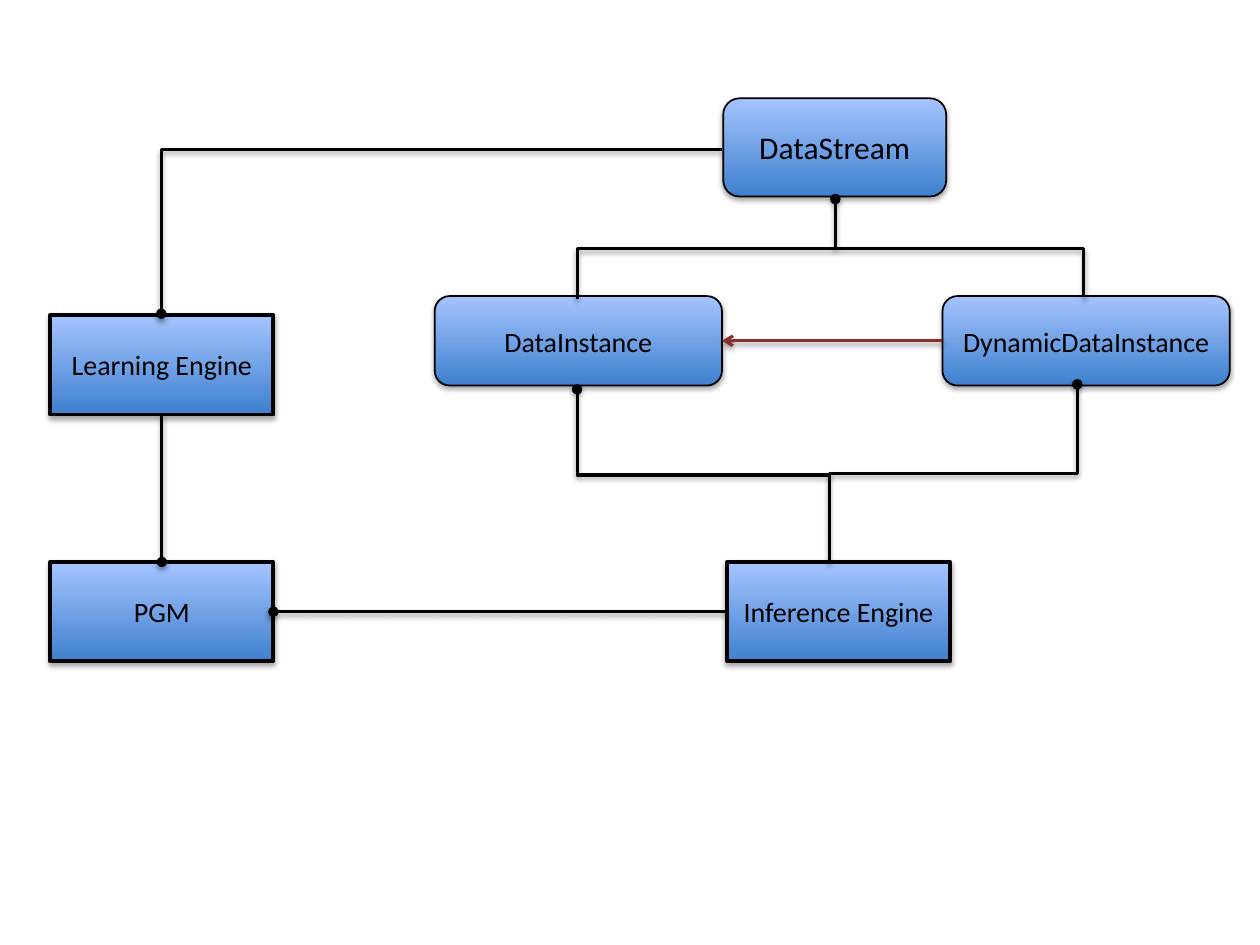
import pptx
import pptx.util
import pptx.dml.color
import pptx.enum.shapes
import pptx.enum.text
import pptx.oxml
import pptx.oxml.ns

SHAPE = pptx.enum.shapes.MSO_SHAPE
CONNECTOR = pptx.enum.shapes.MSO_CONNECTOR
Inches, Pt = pptx.util.Inches, pptx.util.Pt

COLORS = {"black": "000000", "deep": "3F80CE", "light": "A4C4FF", "red": "882E2E"}

# Grid: left edges of columns and top edges of rows, in inches
COLUMNS = {"engine": 0.4, "instance": 3.45, "stream": 5.74, "inference": 5.77, "dynamic": 7.48}
ROWS = {"stream": 0.78, "data": 2.35, "learning": 2.5, "model": 4.46}

# Kinds of box: shape, width, height, outline
KINDS = {
    "stream": (SHAPE.ROUNDED_RECTANGLE, 1.77, 0.78, 1),
    "instance": (SHAPE.ROUNDED_RECTANGLE, 2.28, 0.71, 1),
    "engine": (SHAPE.RECTANGLE, 1.77, 0.79, 2.25),
}

# Text, kind, column, row, text size
BOXES = [
    ("DataStream", "stream", "stream", "stream", 18),
    ("DataInstance", "instance", "instance", "data", 16),
    ("PGM", "engine", "engine", "model", 16),
    ("Inference Engine", "engine", "inference", "model", 16),
    ("Learning Engine", "engine", "engine", "learning", 16),
    ("DynamicDataInstance", "instance", "dynamic", "data", 16),
]

# Begin box and side, end box and side, color, head, tail
TOP, LEFT, BOTTOM, RIGHT = range(4)
STRAIGHT_LINES = [
    ("PGM", RIGHT, "Inference Engine", LEFT, "black", "oval", "none"),
    ("PGM", TOP, "Learning Engine", BOTTOM, "black", "oval", "none"),
    ("DynamicDataInstance", LEFT, "DataInstance", RIGHT, "red", "none", "arrow"),
]

# Begin point, end point, preset, starts vertically, head
ELBOWS = [
    ((1.28, 2.49), (5.73, 1.19), "bentConnector2", True, "oval"),
    ((8.55, 3.05), (6.58, 4.47), "bentConnector3", True, "oval"),
    ((4.58, 3.09), (6.59, 3.77), "bentConnector2", True, "oval"),
    ((6.63, 1.97), (8.6, 2.36), "bentConnector2", False, "none"),
    ((6.63, 1.58), (4.58, 2.37), "bentConnector3", True, "oval"),
]


def rgb(name):
    return pptx.dml.color.RGBColor.from_string(COLORS[name])


def add_shadow(shape, distance, opacity):
    shape._element.spPr.append(pptx.oxml.parse_xml(
        f'<a:effectLst {pptx.oxml.ns.nsdecls("a")}>'
        f'<a:outerShdw blurRad="{Pt(3.1)}" dist="{Pt(distance)}" dir="5400000" rotWithShape="0">'
        f'<a:srgbClr val="{COLORS["black"]}"><a:alpha val="{opacity * 1000}"/></a:srgbClr>'
        '</a:outerShdw></a:effectLst>'))


def add_box(slide, text, kind, column, row, size):
    preset, width, height, outline = KINDS[kind]
    box = slide.shapes.add_shape(preset, Inches(COLUMNS[column]), Inches(ROWS[row]),
                                 Inches(width), Inches(height))
    box.fill.gradient()
    box.fill.gradient_angle = 90
    for stop, position, color in zip(box.fill.gradient_stops, (0, 1), ("deep", "light")):
        stop.position = position
        stop.color.rgb = rgb(color)
    box.line.color.rgb = rgb("black")
    box.line.width = Pt(outline)
    add_shadow(box, 1.8, 35)
    frame = box.text_frame
    frame.word_wrap = True
    frame.vertical_anchor = pptx.enum.text.MSO_ANCHOR.MIDDLE
    paragraph = frame.paragraphs[0]
    paragraph.text = text
    paragraph.alignment = pptx.enum.text.PP_ALIGN.CENTER
    paragraph.font.name = "Calibri"
    paragraph.font.size = Pt(size)
    paragraph.font.color.rgb = rgb("black")
    return box


def style_line(connector, color, head, tail):
    connector.line.color.rgb = rgb(color)
    connector.line.width = Pt(1.75)
    line = connector.line._get_or_add_ln()
    for tag, end in (("headEnd", head), ("tailEnd", tail)):
        line.append(pptx.oxml.parse_xml(
            f'<a:{tag} {pptx.oxml.ns.nsdecls("a")} type="{end}"/>'))
    add_shadow(connector, 1.6, 38)


def add_elbow(slide, begin, end, preset, vertical, head):
    connector = slide.shapes.add_connector(
        CONNECTOR.ELBOW, *(Inches(value) for value in begin + end))
    properties = connector._element.spPr
    properties.find(pptx.oxml.ns.qn("a:prstGeom")).set("prst", preset)
    if vertical:
        # A quarter turn about the centre makes the first leg vertical
        width, height = connector.width, connector.height
        connector.left += (width - height) // 2
        connector.top += (height - width) // 2
        connector.width, connector.height = height, width
        transform = properties.find(pptx.oxml.ns.qn("a:xfrm"))
        transform.set("rot", "5400000")
        transform.set("flipH", str(int(end[1] < begin[1])))
        transform.set("flipV", str(int(end[0] > begin[0])))
    style_line(connector, "black", head, "none")


def main():
    presentation = pptx.Presentation()
    presentation.slide_width, presentation.slide_height = Inches(10), Inches(7.5)
    slide = presentation.slides.add_slide(presentation.slide_layouts[6])

    # Boxes
    boxes = {box[0]: add_box(slide, *box) for box in BOXES}

    # Straight links, joined to the boxes
    for begin, begin_side, end, end_side, color, head, tail in STRAIGHT_LINES:
        connector = slide.shapes.add_connector(CONNECTOR.STRAIGHT, 0, 0, 0, 0)
        connector.begin_connect(boxes[begin], begin_side)
        connector.end_connect(boxes[end], end_side)
        style_line(connector, color, head, tail)

    # Bent links
    for elbow in ELBOWS:
        add_elbow(slide, *elbow)

    presentation.save("out.pptx")


if __name__ == "__main__":
    main()
